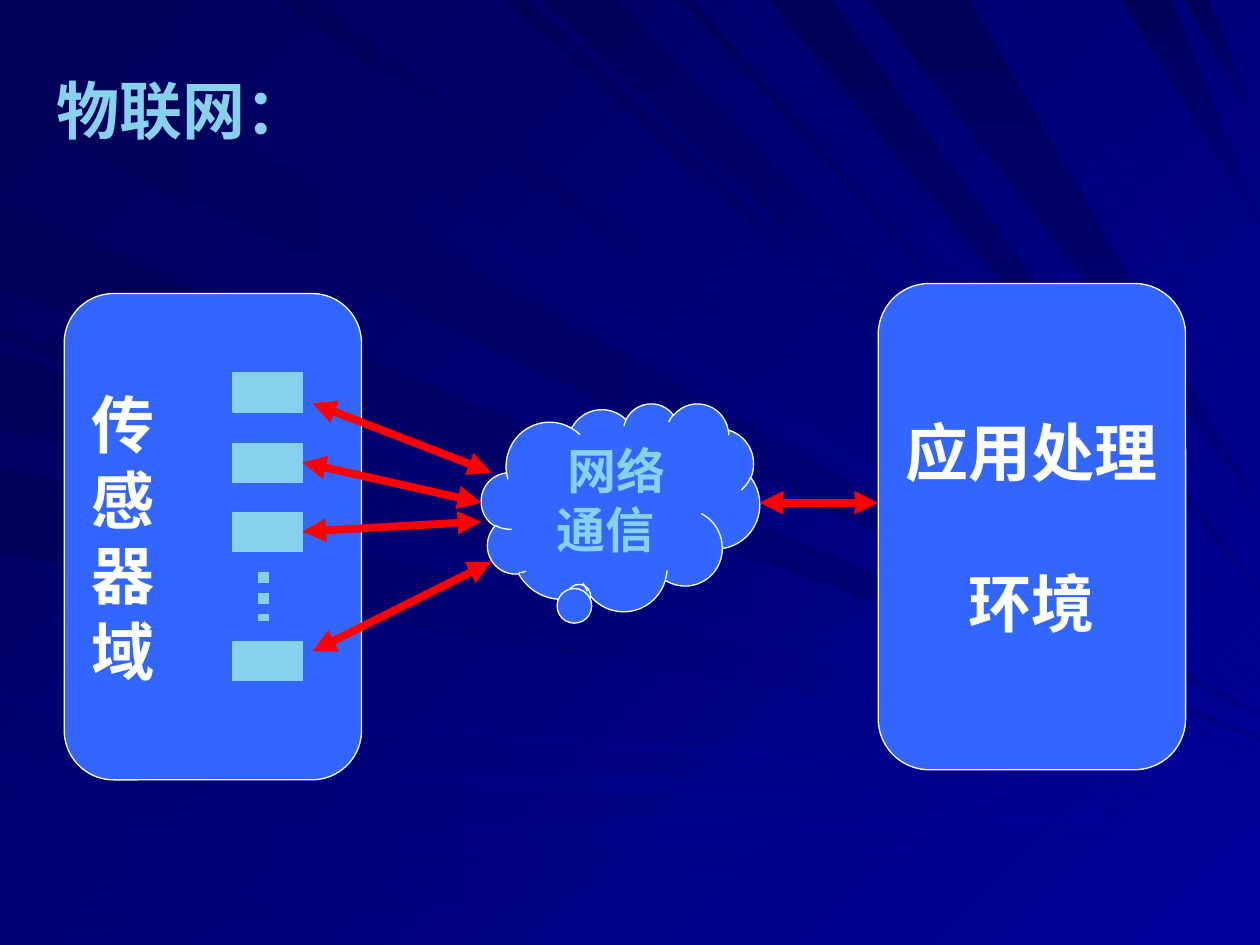
from lxml import etree
from pptx import Presentation
from pptx.dml.color import RGBColor
from pptx.enum.dml import MSO_LINE
from pptx.enum.shapes import MSO_CONNECTOR, MSO_SHAPE
from pptx.enum.text import MSO_ANCHOR, PP_ALIGN
from pptx.oxml.ns import qn
from pptx.util import Inches, Pt

STRAIGHT = MSO_CONNECTOR.STRAIGHT
RECTANGLE = MSO_SHAPE.RECTANGLE
ROUNDED = MSO_SHAPE.ROUNDED_RECTANGLE
CLOUD = MSO_SHAPE.CLOUD_CALLOUT
DOTTED = MSO_LINE.ROUND_DOT
LEFT, CENTER = PP_ALIGN.LEFT, PP_ALIGN.CENTER
TOP, MIDDLE = MSO_ANCHOR.TOP, MSO_ANCHOR.MIDDLE

WHITE = RGBColor(0xFF, 0xFF, 0xFF)
PANEL_BLUE = RGBColor(0x33, 0x66, 0xFF)
SKY = RGBColor(0x86, 0xD1, 0xEC)
RED = RGBColor(0xFF, 0x00, 0x00)
NIGHT = RGBColor(0x00, 0x00, 0x58)
DUSK = RGBColor(0x00, 0x00, 0x72)
MARINE = RGBColor(0x00, 0x00, 0x80)
NAVY = RGBColor(0x00, 0x00, 0x99)

FONT = "Times New Roman"
COLUMNS, ROWS = 10, 7.5
CELL = Inches(1)

SIDE_RAYS = [
    (NIGHT, MARINE, 0, [(0, 0.9), (1.6, 2.3)]),
    (NIGHT, NAVY, 45, [(2.6, 2.7), (2.8, 3.4), (3.7, 4.4)]),
    (DUSK, NAVY, 0, [(5.5, 5.6), (6, 6.2), (6.6, 7), (7.3, 7.5)]),
]
TOP_RAYS = [
    (NIGHT, NAVY, 45, [(0.3, 1), (2.2, 2.5), (4, 4.2), (4.3, 4.9), (5.4, 5.5)]),
    (NIGHT, MARINE, 90, [(6.1, 6.6), (6.9, 7.7), (8.9, 9.3), (9.4, 9.6)]),
    (DUSK, NAVY, 45, [(5.8, 5.9), (7.8, 7.9), (8.1, 8.2)]),
]


def cells(*values):
    return [round(value * CELL) for value in values]


def fill_gradient(fill, start, end, angle):
    fill.gradient()
    fill.gradient_angle = -angle % 360
    for stop, color in zip(fill.gradient_stops, (start, end)):
        stop.color.rgb = color


def write(shape, lines, size, color, align, anchor):
    frame = shape.text_frame
    frame.word_wrap = True
    frame.vertical_anchor = anchor
    frame.text = "\n".join(lines)
    for paragraph in frame.paragraphs:
        paragraph.alignment = align
        font = paragraph.runs[0].font
        font.name, font.size, font.bold = FONT, Pt(size), True
        font.color.rgb = color
    return frame


def add_block(slide, kind, box, fill, line):
    shape = slide.shapes.add_shape(kind, *cells(*box))
    shape.shadow.inherit = False
    shape.fill.solid()
    shape.fill.fore_color.rgb = fill
    shape.line.color.rgb = line
    shape.line.width = Pt(0.75)
    return shape


def add_line(slide, start, end, color, width):
    connector = slide.shapes.add_connector(STRAIGHT, *cells(*start, *end))
    connector.line.color.rgb = color
    connector.line.width = Pt(width)
    etree.SubElement(connector.element.spPr, qn("a:effectLst"))
    return connector


def add_double_arrow(slide, start, end):
    outline = add_line(slide, start, end, RED, 4.5).line._get_or_add_ln()
    for tag in ("a:headEnd", "a:tailEnd"):
        etree.SubElement(outline, qn(tag), type="triangle")


def add_ray(slide, points, colors, angle):
    corners = [cells(*point) for point in points]
    builder = slide.shapes.build_freeform(*corners[0])
    builder.add_line_segments(corners[1:], close=True)
    ray = builder.convert_to_shape()
    ray.shadow.inherit = False
    ray.line.fill.background()
    fill_gradient(ray.fill, *colors, angle)


def draw_background(slide, box):
    left, top, width, height = box
    fill_gradient(slide.background.fill, NIGHT, NAVY, 45)
    for start, end, angle, spans in SIDE_RAYS:
        for near, far in spans:
            tip = (left + width, top + height * 0.75 + (near + far) * 0.06)
            points = [(left, top + near), tip, (left, top + far)]
            add_ray(slide, points, (start, end), angle)
    for start, end, angle, spans in TOP_RAYS:
        for near, far in spans:
            drop = 1 - ((near + far) / 2 / width) ** 4
            tip = (left + width, top + height * 0.75 * drop)
            points = [(left + near, top), tip, (left + far, top)]
            add_ray(slide, points, (start, end), angle)


def draw_title(slide, box):
    title = slide.shapes.add_textbox(*cells(*box))
    write(title, ["物联网："], 36, SKY, LEFT, TOP)


def draw_sensor_domain(slide, box):
    left, top = box[:2]
    panel = add_block(slide, ROUNDED, box, PANEL_BLUE, WHITE)
    write(panel, "传感器域", 36, WHITE, LEFT, MIDDLE)
    for offset in (0.63, 1.19, 1.74, 2.76):
        add_block(slide, RECTANGLE, (left + 1.34, top + offset, 0.55, 0.31), SKY, SKY)
    middle = left + 1.58
    dots = add_line(slide, (middle, top + 2.21), (middle, top + 2.6), SKY, 6)
    dots.line.dash_style = DOTTED


def draw_network(slide, box):
    cloud = add_block(slide, CLOUD, box, PANEL_BLUE, WHITE)
    cloud.adjustments[0], cloud.adjustments[1] = -0.15, 0.43
    write(cloud, [" 网络", "通信 "], 28, SKY, CENTER, TOP)


def draw_application(slide, box):
    panel = add_block(slide, ROUNDED, box, PANEL_BLUE, WHITE)
    frame = write(panel, ["应用处理", "环境"], 36, WHITE, CENTER, MIDDLE)
    frame.margin_left = frame.margin_right = 0
    frame.paragraphs[1].space_before = Pt(43)


def draw_links(slide, sensors, network, application):
    right, top = sensors[0] + sensors[2], sensors[1]
    cloud_left, cloud_top = network[:2]
    for inset, start, shift, end in (
        (0.39, 0.87, 0.08, 0.55),
        (0.47, 1.34, 0, 0.79),
        (0.47, 1.89, 0, 0.94),
        (0.39, 2.84, 0.08, 1.26),
    ):
        add_double_arrow(slide, (right - inset, top + start), (cloud_left + shift, cloud_top + end))
    level = cloud_top + 0.79
    add_double_arrow(slide, (cloud_left + network[2], level), (application[0], level))


def main():
    presentation = Presentation()
    presentation.slide_width, presentation.slide_height = cells(COLUMNS, ROWS)
    slide = presentation.slides.add_slide(presentation.slide_layouts[6])
    sensors = (0.51, 2.33, 2.36, 3.86)
    network = (3.82, 3.2, 2.21, 1.65)
    application = (6.97, 2.25, 2.44, 3.86)
    draw_background(slide, (0, 0, COLUMNS, ROWS))
    draw_title(slide, (0.35, 0.52, 4.61, 0.7))
    draw_sensor_domain(slide, sensors)
    draw_network(slide, network)
    draw_application(slide, application)
    draw_links(slide, sensors, network, application)
    presentation.save("out.pptx")


if __name__ == "__main__":
    main()
